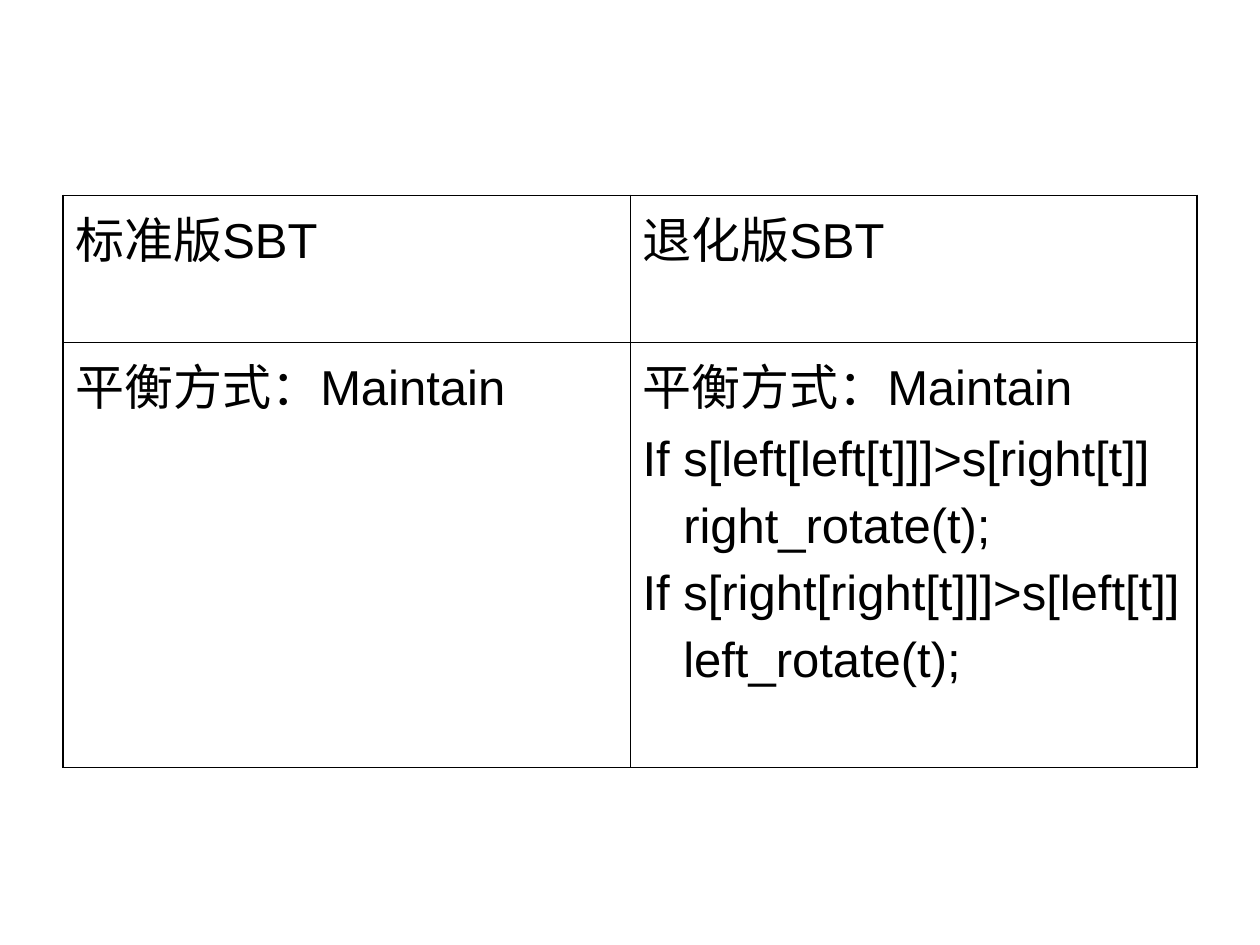
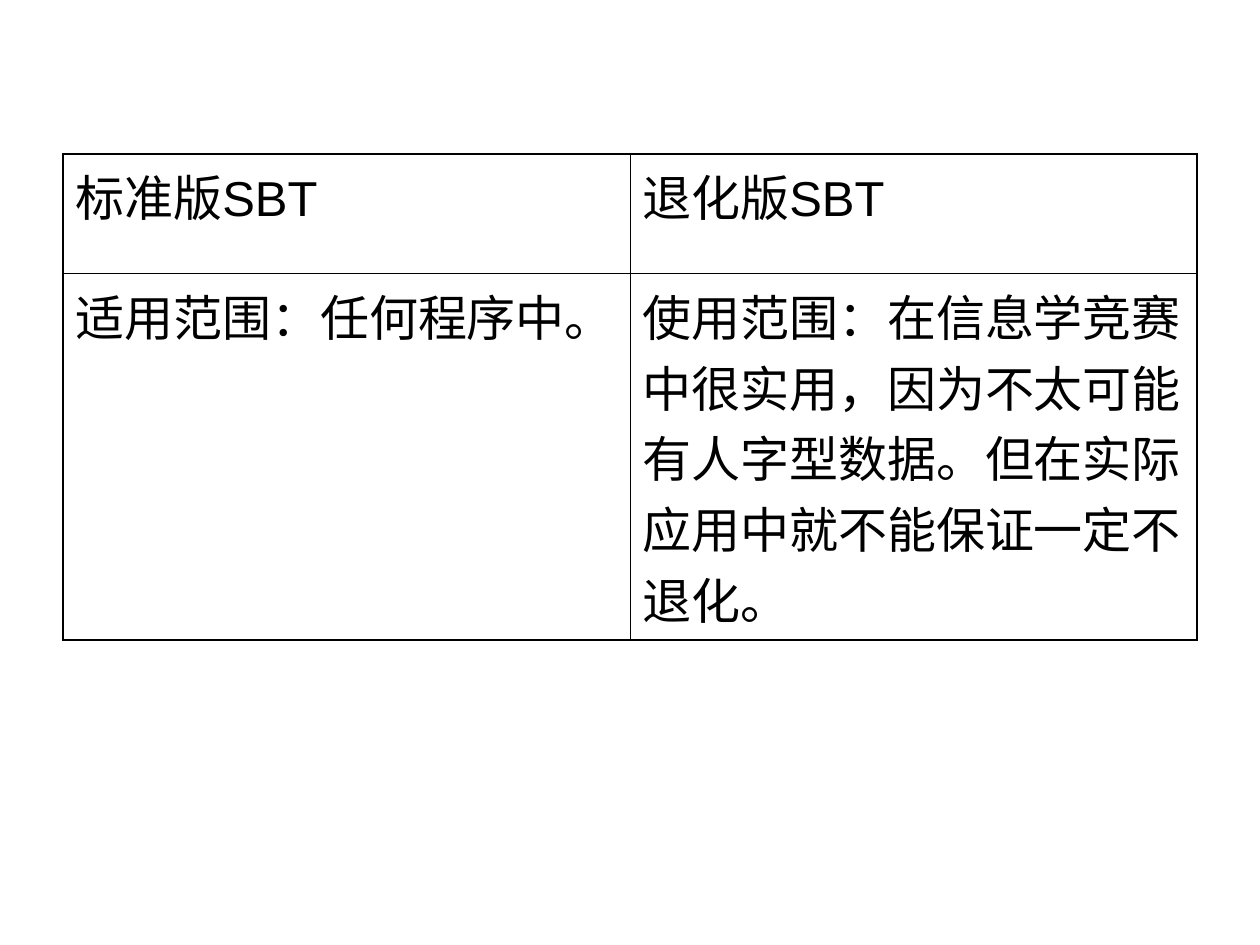
from lxml import etree
from pptx import Presentation
from pptx.dml.color import RGBColor
from pptx.oxml.ns import qn
from pptx.util import Cm, Pt

BLACK = "000000"
OUTER, INNER = Pt(1.08), Pt(0.45)
TABLE_LEFT, COLUMN_WIDTH = Cm(1.27), Cm(11.43)
CODE_INDENT = Cm(0.82)
BLANK_LAYOUT = 6
FONT_FORMAT = {"name": "Arial", "size": Pt(28), "bold": False}
PLAIN_TABLE = {"first_row": False, "horz_banding": False}
HEADINGS = ["标准版SBT", "退化版SBT"]

# Each line is (text, left indent)
comparisons = [
    {
        "top": Cm(3.94),
        "heights": [Cm(2.97), Cm(8.56)],
        "cells": [
            [("平衡方式：Maintain", 0)],
            [
                ("平衡方式：Maintain", 0),
                ("If s[left[left[t]]]>s[right[t]]", 0),
                ("right_rotate(t);", CODE_INDENT),
                ("If s[right[right[t]]]>s[left[t]]", 0),
                ("left_rotate(t);", CODE_INDENT),
            ],
        ],
    },
    {
        "top": Cm(3.1),
        "heights": [Cm(2.41), Cm(7.39)],
        "cells": [
            [("适用范围：任何程序中。", 0)],
            [("使用范围：在信息学竞赛中很实用，因为不太可能有人字型数据。"
              "但在实际应用中就不能保证一定不退化。", 0)],
        ],
    },
]


def set_borders(cell, widths):
    """Draw the cell's borders; the lines must come before the fill."""
    properties = cell._tc.get_or_add_tcPr()
    for position, (side, width) in enumerate(widths.items()):
        line = etree.Element(qn("a:ln" + side), w=str(int(width)))
        fill = etree.SubElement(line, qn("a:solidFill"))
        etree.SubElement(fill, qn("a:srgbClr"), val=BLACK)
        properties.insert(position, line)


def write_lines(cell, lines):
    """Write one paragraph for each line of the cell."""
    frame = cell.text_frame
    for number, (text, indent) in enumerate(lines):
        paragraph = frame.add_paragraph() if number else frame.paragraphs[0]
        paragraph.space_before = Pt(7)
        if indent:
            paragraph._p.get_or_add_pPr().set("marL", str(int(indent)))
        run = paragraph.add_run()
        run.text = text
        for attribute, value in FONT_FORMAT.items():
            setattr(run.font, attribute, value)
        run.font.color.rgb = RGBColor.from_string(BLACK)


presentation = Presentation()
presentation.slide_width = Cm(25.4)
presentation.slide_height = Cm(19.05)

for comparison in comparisons:
    slide = presentation.slides.add_slide(presentation.slide_layouts[BLANK_LAYOUT])

    # Table grid
    heights = comparison["heights"]
    table = slide.shapes.add_table(
        2, 2, TABLE_LEFT, comparison["top"], 2 * COLUMN_WIDTH, sum(heights)).table
    for attribute, value in PLAIN_TABLE.items():
        setattr(table, attribute, value)
    for row, height in zip(table.rows, heights):
        row.height = height

    # Heading row, then the compared versions
    rows = [[[(heading, 0)] for heading in HEADINGS], comparison["cells"]]
    for row_number, row_cells in enumerate(rows):
        for column_number, lines in enumerate(row_cells):
            cell = table.cell(row_number, column_number)
            write_lines(cell, lines)
            cell.fill.background()
            set_borders(cell, {
                "L": INNER if column_number else OUTER,
                "R": OUTER if column_number else INNER,
                "T": INNER if row_number else OUTER,
                "B": OUTER if row_number else INNER,
            })

presentation.save("out.pptx")
